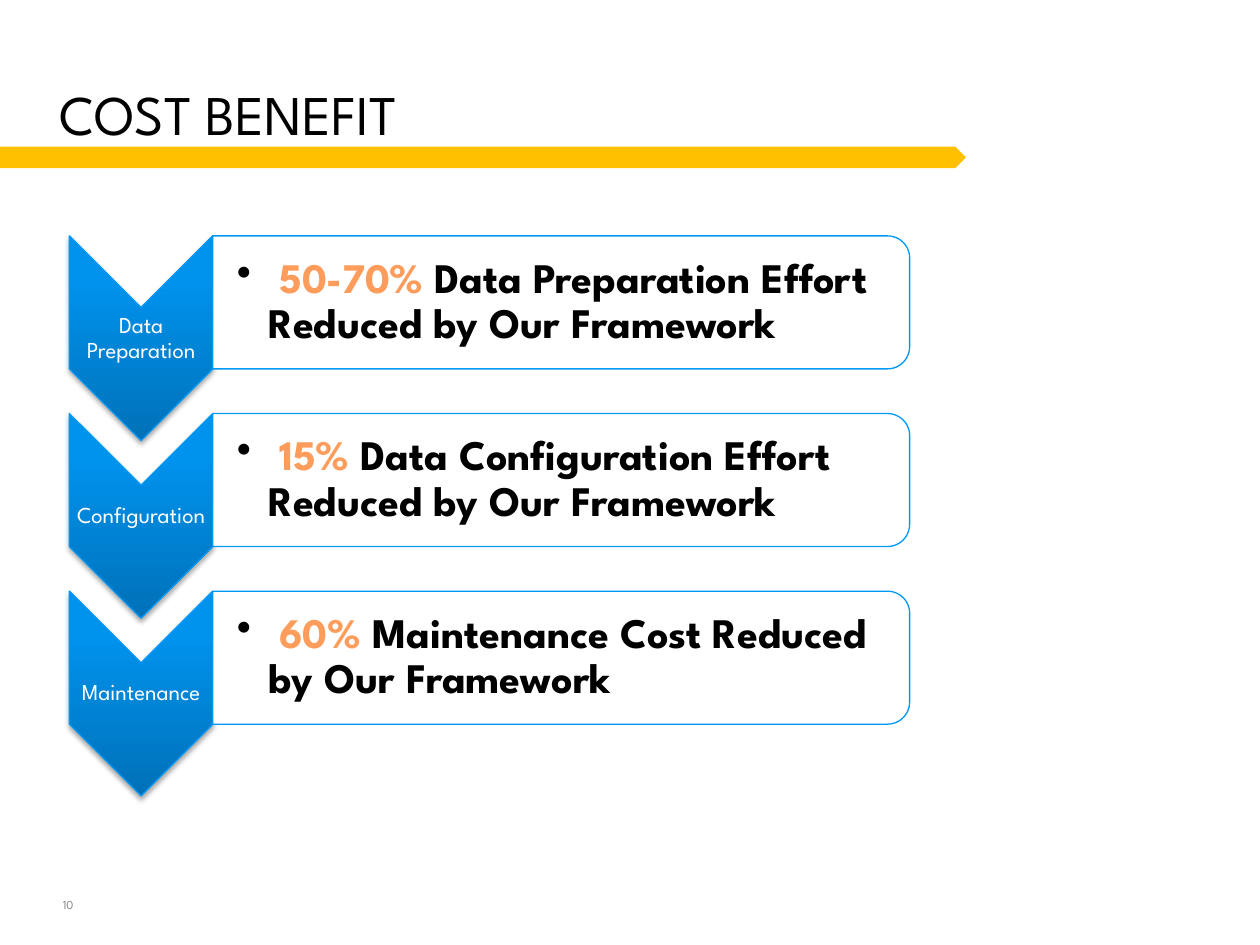
"""Build the cost benefit slide: three chevron steps with their savings."""
from dataclasses import dataclass

from lxml.etree import fromstring
from pptx import Presentation
from pptx.dml.color import RGBColor
from pptx.enum.shapes import MSO_SHAPE
from pptx.enum.text import MSO_ANCHOR, PP_ALIGN
from pptx.oxml.ns import nsdecls, qn
from pptx.util import Pt

FONT = "League Spartan"
COLORS = {
    "black": "000000",
    "white": "FFFFFF",
    "gray": "878787",
    "gold": "FFC000",
    "orange": "FE9D5B",
    "blue": "0098F6",
}
GRADIENT = [(0, "0071B8"), (80, "0093EE"), (100, "0094EF")]
FIRST_TOP = 134.8
PITCH = 101.5


@dataclass
class Step:
    label: str
    saving: str
    benefit: str


STEPS = [
    Step("Data Preparation", "50-70%", "Data Preparation Effort Reduced by Our Framework"),
    Step("Configuration", "15%", "Data Configuration Effort Reduced by Our Framework"),
    Step("Maintenance", "60%", "Maintenance Cost Reduced by Our Framework"),
]


def rgb(name: str) -> RGBColor:
    """Look up a colour by name."""
    return RGBColor.from_string(COLORS[name])


def add_text(p, text: str, *, size: float, color: str = "black", bold: bool = False) -> None:
    """Append a formatted run to a paragraph."""
    r = p.add_run()
    r.text = text
    r.font.name = FONT
    r.font.size = Pt(size)
    r.font.bold = bold
    r.font.color.rgb = rgb(color)


def add_box(s, left: float, top: float, width: float, height: float, insets=None):
    """Add a wrapping text box and return its text frame."""
    tf = s.shapes.add_textbox(Pt(left), Pt(top), Pt(width), Pt(height)).text_frame
    tf.word_wrap = True
    if insets:
        tf.vertical_anchor = MSO_ANCHOR.MIDDLE
        tf.margin_left, tf.margin_top, tf.margin_right, tf.margin_bottom = map(Pt, insets)
    return tf


def add_outline(s, kind, left: float, top: float, width: float, height: float,
                *, fill: str, line: str, turned: bool = False):
    """Add a preset shape; a turned one fills the given area after a quarter turn."""
    if turned:
        left, top = left + (width - height) / 2, top + (height - width) / 2
        width, height = height, width
    sp = s.shapes.add_shape(kind, Pt(left), Pt(top), Pt(width), Pt(height))
    sp.rotation = 90 if turned else 0
    sp.shadow.inherit = False
    sp.fill.solid()
    sp.fill.fore_color.rgb = rgb(fill)
    sp.line.color.rgb = rgb(line)
    sp.line.width = Pt(0.75)
    return sp


def shade(sp) -> None:
    """Give a shape the vertical blue gradient and a soft shadow."""
    ns = nsdecls("a")
    stops = "".join(f'<a:gs pos="{pos * 1000}"><a:srgbClr val="{color}"/></a:gs>'
                    for pos, color in GRADIENT)
    props = sp.element.spPr
    props.replace(props.find(qn("a:solidFill")), fromstring(
        f'<a:gradFill {ns} rotWithShape="0"><a:gsLst>{stops}</a:gsLst>'
        '<a:lin ang="16200000" scaled="0"/></a:gradFill>'))
    props.find(qn("a:effectLst")).append(fromstring(
        f'<a:outerShdw {ns} blurRad="{Pt(3.1)}" dist="{Pt(1.8)}" dir="5400000" '
        f'rotWithShape="0"><a:srgbClr val="{COLORS["black"]}"><a:alpha val="35000"/>'
        '</a:srgbClr></a:outerShdw>'))


def add_bullet(p, indent: float) -> None:
    """Give a paragraph a hanging bullet."""
    props = p._p.get_or_add_pPr()
    props.set("marL", str(Pt(indent)))
    props.set("indent", str(-Pt(indent)))
    props.append(fromstring(f'<a:buChar {nsdecls("a")} char="•"/>'))


def add_step(s, step: Step, top: float) -> None:
    """Draw one chevron with its label and the panel beside it."""
    chevron = add_outline(s, MSO_SHAPE.CHEVRON, 39.6, top, 82, 117,
                          fill="blue", line="blue", turned=True)
    shade(chevron)
    p = add_box(s, 39.6, top + 41, 82, 35, (0.7,) * 4).paragraphs[0]
    p.alignment = PP_ALIGN.CENTER
    p.line_spacing = 0.9
    add_text(p, step.label, size=13, color="white")

    add_outline(s, MSO_SHAPE.ROUND_2_SAME_RECTANGLE, 121.6, top, 398.2, 76,
                fill="white", line="blue", turned=True)
    p = add_box(s, 121.6, top + 3.7, 394.5, 68.6, (13.7, 1.4, 1.4, 1.4)).paragraphs[0]
    p.level = 1
    p.line_spacing = 0.9
    add_bullet(p, 18)
    add_text(p, " ", size=24, bold=True)
    add_text(p, f"{step.saving} ", size=24, color="orange", bold=True)
    add_text(p, step.benefit, size=24, bold=True)


def main() -> None:
    """Build and save the slide."""
    prs = Presentation()
    prs.slide_width, prs.slide_height = Pt(720), Pt(540)
    s = prs.slides.add_slide(prs.slide_layouts[5])

    title = s.shapes.title
    title.left, title.top, title.width, title.height = Pt(26.6), Pt(33), Pt(686), Pt(69)
    title.text_frame.vertical_anchor = MSO_ANCHOR.MIDDLE
    p = title.text_frame.paragraphs[0]
    p.alignment = PP_ALIGN.LEFT
    p.line_spacing = Pt(33)
    add_text(p, "COST BENEFIT", size=32)

    add_outline(s, MSO_SHAPE.PENTAGON, 0, 84.2, 551.5, 11.5, fill="gold", line="gold")
    for i, step in enumerate(STEPS):
        add_step(s, step, FIRST_TOP + i * PITCH)

    p = add_box(s, 28.8, 509, 30, 16).paragraphs[0]
    add_text(p, "10", size=7, color="gray")
    prs.save("out.pptx")


if __name__ == "__main__":
    main()
